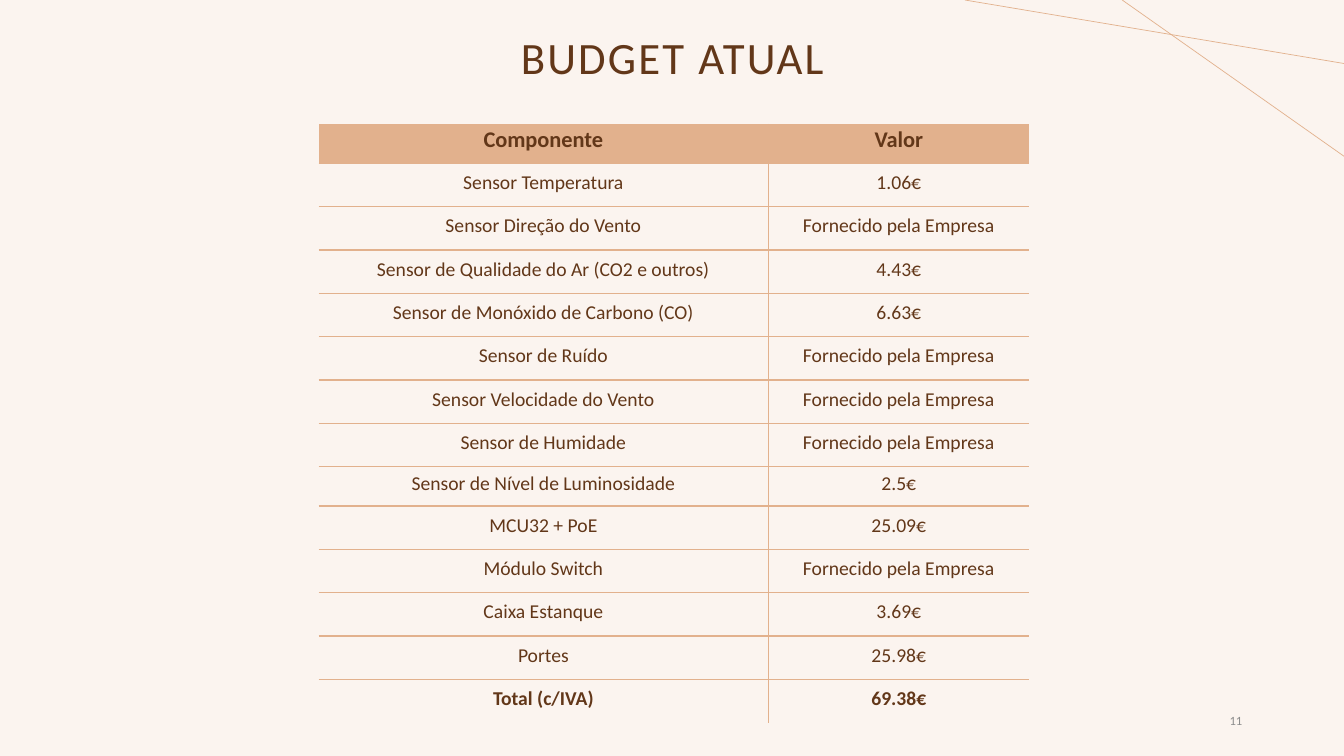
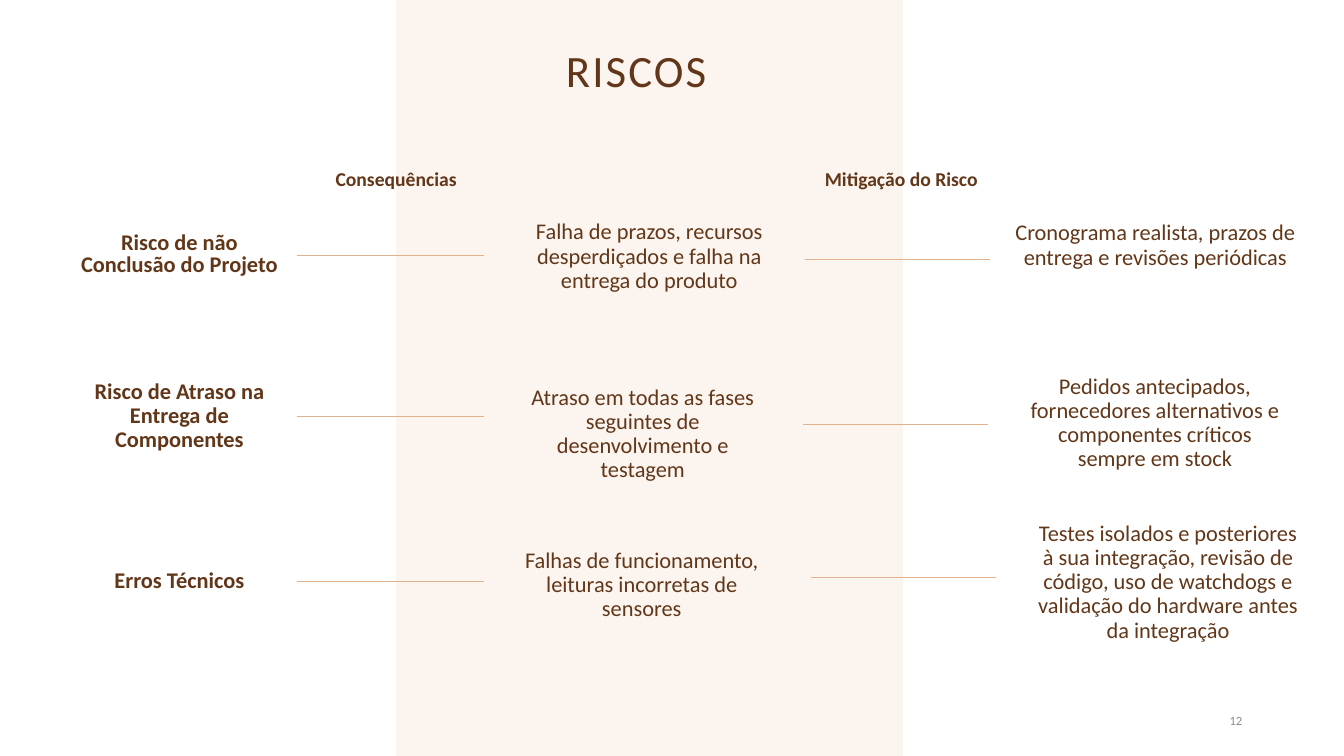
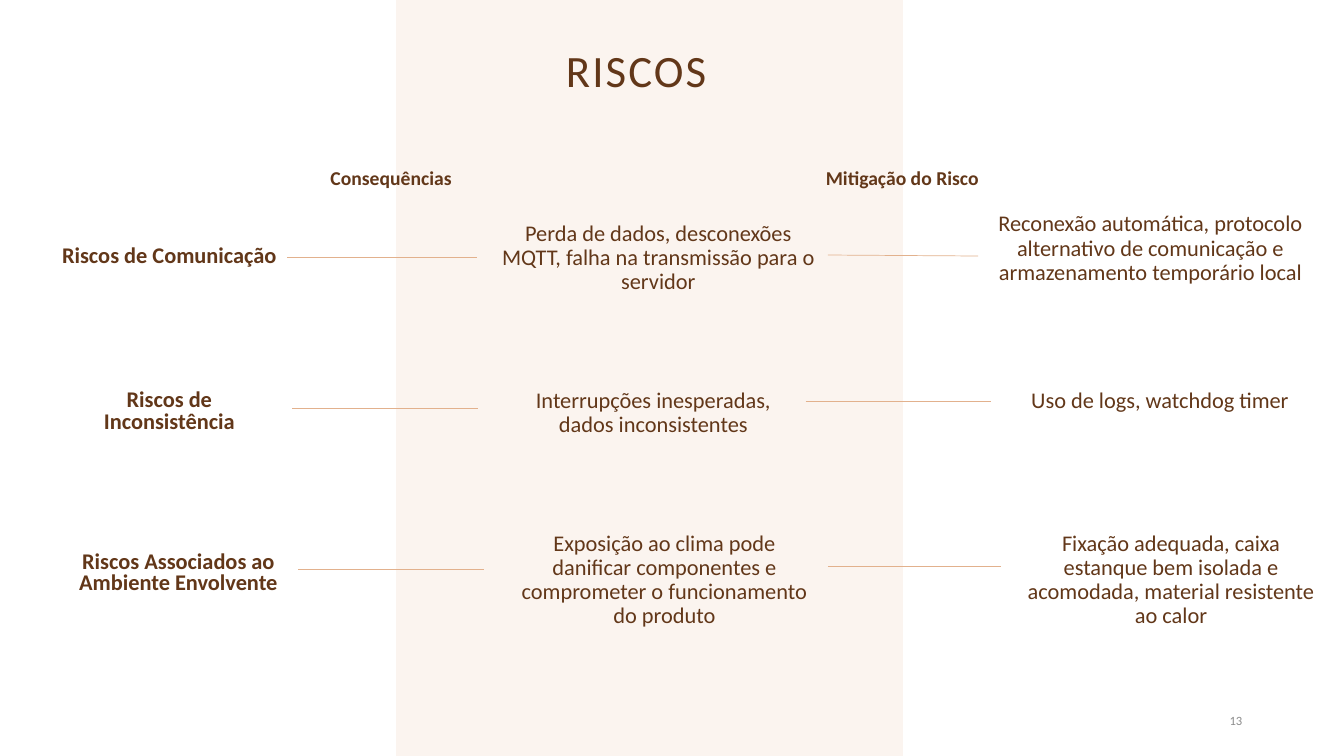
from lxml import etree
from pptx import Presentation
from pptx import util as u
from pptx.dml.color import RGBColor
from pptx.enum import shapes, text
from pptx.oxml.ns import qn

# Shared look
CREAM = RGBColor(0xFB, 0xF4, 0xEF)
PEACH = RGBColor(0xE2, 0xB1, 0x8D)
BROWN = RGBColor(0x62, 0x37, 0x19)
GREY = RGBColor(0x8C, 0x8C, 0x8C)
WHITE = RGBColor(0xFF, 0xFF, 0xFF)
FONT = "Calibri"
WIDTH, HEIGHT = 13.33, 7.5
NO_TABLE_STYLE = "{2D5ABB26-0587-4C30-8999-92F81FD0307C}"
CENTER, LEFT, RIGHT = text.PP_ALIGN.CENTER, text.PP_ALIGN.LEFT, text.PP_ALIGN.RIGHT
TOP, MIDDLE = text.MSO_ANCHOR.TOP, text.MSO_ANCHOR.MIDDLE

# Content: budget
SUPPLIED = "Fornecido pela Empresa"
BUDGET = [
    ("Componente", "Valor"),
    ("Sensor Temperatura", "1.06€"),
    ("Sensor Direção do Vento", SUPPLIED),
    ("Sensor de Qualidade do Ar (CO2 e outros)", "4.43€"),
    ("Sensor de Monóxido de Carbono (CO)", "6.63€"),
    ("Sensor de Ruído", SUPPLIED),
    ("Sensor Velocidade do Vento", SUPPLIED),
    ("Sensor de Humidade", SUPPLIED),
    ("Sensor de Nível de Luminosidade", "2.5€"),
    ("MCU32 + PoE", "25.09€"),
    ("Módulo Switch", SUPPLIED),
    ("Caixa Estanque", "3.69€"),
    ("Portes", "25.98€"),
    ("Total (c/IVA)", "69.38€"),
]
BUDGET_COLUMNS = (4.46, 2.59)
ROW, LOW_ROW, LOW_ROWS = 0.43, 0.39, (0, 8)
CORNER_LINES = [(11.13, 0, WIDTH, 1.55), (9.57, 0, WIDTH, 0.63)]

# Content: risks. Boxes are (left, top, width, height), lines (x1, y1, x2, y2);
# a line given only by its end x starts at the side of the risk box.
RISK_SLIDES = [
    dict(
        number="12",
        headings=[("Consequências", 2.76, 1.51), ("Mitigação do Risco", 7.77, 1.51)],
        rows=[
            dict(risk=("Risco de não Conclusão do Projeto", (0.61, 2.25, 2.34, 0.56), 0.8),
                 effect=("Falha de prazos, recursos desperdiçados e falha na entrega do produto",
                         (5.07, 2.14, 2.74, 0.77)),
                 remedy=("Cronograma realista, prazos de entrega e revisões periódicas",
                         (9.91, 2.15, 3.1, 0.76)),
                 to_effect=4.8, to_remedy=(7.98, 2.57, 9.82, 2.57)),
            dict(risk=("Risco de Atraso na Entrega de Componentes", (0.61, 3.67, 2.34, 0.92), 0.9),
                 effect=("Atraso em todas as fases seguintes de desenvolvimento e testagem",
                         (5.07, 3.78, 2.61, 1.11)),
                 remedy=("Pedidos antecipados, fornecedores alternativos e componentes "
                         "críticos sempre em stock", (10.04, 3.67, 2.83, 1.1)),
                 to_effect=4.8, to_remedy=(7.96, 4.21, 9.8, 4.21)),
            dict(risk=("Erros Técnicos", (0.61, 5.49, 2.34, 0.56), 0.9),
                 effect=("Falhas de funcionamento, leituras incorretas de sensores",
                         (5.06, 5.4, 2.61, 0.99)),
                 remedy=("Testes isolados e posteriores à sua integração, revisão de código, "
                         "uso de watchdogs e validação do hardware antes da integração",
                         (10.17, 5.13, 2.83, 1.34)),
                 to_effect=4.8, to_remedy=(8.04, 5.73, 9.88, 5.73)),
        ]),
    dict(
        number="13",
        headings=[("Consequências", 2.71, 1.5), ("Mitigação do Risco", 7.78, 1.5)],
        rows=[
            dict(risk=("Riscos de Comunicação", (0.51, 2.27, 2.34, 0.56), 0.8),
                 effect=("Perda de dados, desconexões MQTT, falha na transmissão para o servidor",
                         (4.85, 2.15, 3.36, 1.11)),
                 remedy=("Reconexão automática, protocolo alternativo de comunicação e "
                         "armazenamento temporário local", (9.72, 2.06, 3.38, 1.2)),
                 to_effect=4.73, to_remedy=(8.21, 2.53, 9.7, 2.54)),
            dict(risk=("Riscos de Inconsistência", (0.51, 3.81, 2.34, 0.56), 0.8),
                 effect=("Interrupções inesperadas, dados inconsistentes",
                         (4.97, 3.81, 3.02, 1.11)),
                 remedy=("Uso de logs, watchdog timer", (10.13, 3.81, 2.97, 1.11)),
                 remedy_align=LEFT,
                 to_effect=(2.9, 4.05, 4.74, 4.05), to_remedy=(7.99, 3.98, 9.83, 3.98)),
            dict(risk=("Riscos Associados ao Ambiente Envolvente", (0.6, 5.41, 2.34, 0.56), 0.8),
                 effect=("Exposição ao clima pode danificar componentes e comprometer o "
                         "funcionamento do produto", (4.98, 5.23, 3.22, 1.13)),
                 remedy=("Fixação adequada, caixa estanque bem isolada e acomodada, material "
                         "resistente ao calor", (10.03, 5.23, 3.17, 1.06)),
                 to_effect=(2.96, 5.65, 4.8, 5.65), to_remedy=(8.21, 5.62, 9.93, 5.62)),
        ]),
]


def inches(lengths):
    return [u.Inches(length) for length in lengths]


def write(frame, words, size=16, bold=False, color=BROWN, align=CENTER,
          anchor=TOP, spacing=0.9, tracking=0):
    frame.word_wrap = True
    frame.vertical_anchor = anchor
    paragraph = frame.paragraphs[0]
    paragraph.alignment = align
    paragraph.line_spacing = spacing
    run = paragraph.add_run()
    run.text = words
    run.font.name, run.font.size, run.font.bold = FONT, u.Pt(size), bold
    run.font.color.rgb = color
    if tracking:
        run.font._element.set("spc", str(round(tracking * 100)))


def add_text(slide, words, box, **style):
    label = slide.shapes.add_textbox(*inches(box))
    write(label.text_frame, words, **style)
    return label


def add_line(slide, ends):
    line = slide.shapes.add_connector(shapes.MSO_CONNECTOR.STRAIGHT, *inches(ends))
    line.line.color.rgb, line.line.width = PEACH, u.Pt(0.5)
    etree.SubElement(line._element.spPr, qn("a:effectLst"))
    return line


def add_page(deck, title, number, left, top):
    slide = deck.slides.add_slide(deck.slide_layouts[6])
    add_text(slide, title, (left, top, 11.5, 1.45), size=32, anchor=MIDDLE, tracking=1.5)
    add_text(slide, number, (9.42, 6.95, 3, 0.4), size=9, color=GREY,
             align=RIGHT, anchor=MIDDLE, spacing=1.0)
    return slide


def add_border(cell, side, position=0):
    border = etree.Element(qn(f"a:ln{side}"), w=str(u.Pt(1)))
    fill = etree.SubElement(border, qn("a:solidFill"))
    etree.SubElement(fill, qn("a:srgbClr"), val=str(PEACH))
    cell._tc.get_or_add_tcPr().insert(position, border)


def add_budget(slide):
    heights = [LOW_ROW if i in LOW_ROWS else ROW for i in range(len(BUDGET))]
    box = (3.16, 1.23, sum(BUDGET_COLUMNS), sum(heights))
    table = slide.shapes.add_table(len(BUDGET), len(BUDGET_COLUMNS), *inches(box)).table
    table._tbl.tblPr.find(qn("a:tableStyleId")).text = NO_TABLE_STYLE
    table.first_row = table.horz_banding = False
    for column, width in zip(table.columns, BUDGET_COLUMNS):
        column.width = u.Inches(width)
    last = len(BUDGET) - 1
    for r, entries in enumerate(BUDGET):
        table.rows[r].height = u.Inches(heights[r])
        for c, words in enumerate(entries):
            cell = table.cell(r, c)
            cell.margin_left = cell.margin_right = u.Inches(0.04)
            cell.margin_top = cell.margin_bottom = u.Inches(0.02)
            cell.fill.solid()
            cell.fill.fore_color.rgb = CREAM if r else PEACH
            write(cell.text_frame, words, size=14 if r else 16,
                  bold=r in (0, last), spacing=u.Pt(13.8))
            cell.vertical_anchor = MIDDLE
            if r < last:
                add_border(cell, "B")
            if c:
                add_border(cell, "L")
            else:
                add_border(cell, "R")


def add_side_panels(slide):
    for left, width in ((0, 3.92), (8.96, 4.37)):
        panel = slide.shapes.add_shape(shapes.MSO_SHAPE.RECTANGLE,
                                       *inches((left, 0, width, HEIGHT)))
        panel.shadow.inherit = False
        panel.fill.solid()
        panel.fill.fore_color.rgb = panel.line.color.rgb = WHITE
        panel.line.width = u.Pt(1)
        # Panels lie behind the title and page number
        slide.shapes._spTree.insert(2, panel._element)


def add_risk(slide, row):
    words, box, spacing = row["risk"]
    risk = add_text(slide, words, box, bold=True, anchor=MIDDLE, spacing=spacing)
    add_text(slide, *row["effect"])
    add_text(slide, *row["remedy"], align=row.get("remedy_align", CENTER))
    if isinstance(row["to_effect"], tuple):
        add_line(slide, row["to_effect"])
    else:
        left, top, width, height = box
        middle = top + height / 2
        line = add_line(slide, (left + width, middle, row["to_effect"], middle))
        line.begin_connect(risk, 3)
    add_line(slide, row["to_remedy"])


def main():
    deck = Presentation()
    deck.slide_width, deck.slide_height = inches((WIDTH, HEIGHT))
    background = deck.slide_master.background.fill
    background.solid()
    background.fore_color.rgb = CREAM

    # Budget
    budget = add_page(deck, "BUDGET ATUAL", "11", 0.92, -0.13)
    for ends in CORNER_LINES:
        add_line(budget, ends)
    add_budget(budget)

    # Risks
    for content in RISK_SLIDES:
        slide = add_page(deck, "RISCOS", content["number"], 0.56, 0)
        add_side_panels(slide)
        for heading, left, top in content["headings"]:
            add_text(slide, heading, (left, top, 2.34, 0.56), size=14, bold=True, anchor=MIDDLE)
        for row in content["rows"]:
            add_risk(slide, row)

    deck.save("out.pptx")


if __name__ == "__main__":
    main()
